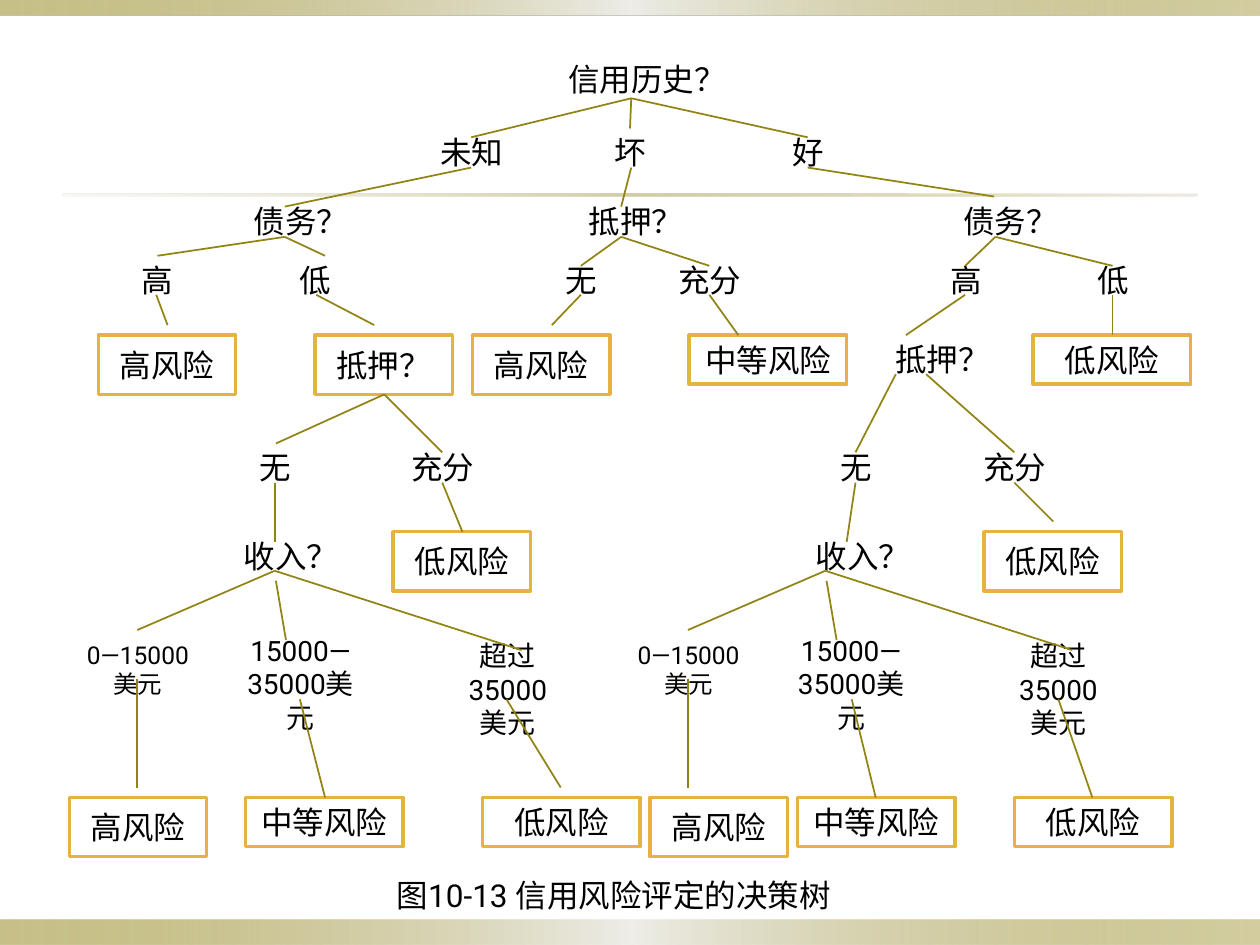
"""Build the credit risk decision tree slide."""
from dataclasses import dataclass

from lxml import etree
from pptx import Presentation
from pptx.dml.color import RGBColor
from pptx.enum.shapes import MSO_CONNECTOR, MSO_SHAPE
from pptx.enum.text import MSO_ANCHOR, MSO_AUTO_SIZE, PP_ALIGN
from pptx.oxml import parse_xml
from pptx.oxml.ns import qn
from pptx.util import Inches, Pt

RECT, STRAIGHT = MSO_SHAPE.RECTANGLE, MSO_CONNECTOR.STRAIGHT
MIDDLE, CENTER, NO_FIT = MSO_ANCHOR.MIDDLE, PP_ALIGN.CENTER, MSO_AUTO_SIZE.NONE
A_NS = "http://schemas.openxmlformats.org/drawingml/2006/main"


@dataclass
class Theme:
    font: str = "Roboto"
    ink: str = "000000"
    white: str = "FFFFFF"
    olive: str = "918415"
    pale: str = "EEEDE8"
    sand: str = "DCD9CC"
    gold: str = "E5B440"
    body: int = 18
    medium: int = 16
    small: int = 14
    branch: int = 1
    border: int = 2


theme = Theme()
rgb = RGBColor.from_string
prs = Presentation()
prs.slide_width, prs.slide_height = Inches(10), Inches(7.5)
s = prs.slides.add_slide(prs.slide_layouts[5])


def put_text(sp, text, size=theme.body, color=theme.ink):
    tf = sp.text_frame
    tf.word_wrap, tf.auto_size = True, NO_FIT
    tf.vertical_anchor = MIDDLE
    p = tf.paragraphs[0]
    p.alignment = CENTER
    r = p.add_run()
    r.text = text
    r.font.size, r.font.name, r.font.bold = Pt(size), theme.font, False
    r.font.color.rgb = rgb(color)


def add_rect(x, y, w, h):
    sp = s.shapes.add_shape(RECT, Inches(x), Inches(y), Inches(w), Inches(h))
    sp.shadow.inherit = False
    return sp


edge = [(0, theme.olive, 50), (50, theme.pale, 100), (100, theme.olive, 40)]
rule = [(0, theme.sand, 20), (50, theme.olive, 40), (100, theme.sand, 50)]
for box, stops in [
    ((0, 7.3, 10, 0.2), edge),
    ((0, 0, 10, 0.12), edge),
    ((0.5, 1.54, 9, 0.02), rule),
]:
    sp = add_rect(*box)
    sp.line.fill.background()
    stop_xml = "".join(
        f'<a:gs pos="{pos * 1000}"><a:srgbClr val="{color}">'
        f'<a:alpha val="{alpha * 1000}"/></a:srgbClr></a:gs>'
        for pos, color, alpha in stops
    )
    grad = parse_xml(
        f'<a:gradFill xmlns:a="{A_NS}" rotWithShape="1"><a:gsLst>{stop_xml}'
        '</a:gsLst><a:lin ang="0" scaled="0"/></a:gradFill>'
    )
    sp._element.spPr.find(qn("a:prstGeom")).addnext(grad)

caption = s.shapes.title
caption.left, caption.top = Inches(2.19), Inches(6.95)
caption.width, caption.height = Inches(5.36), Inches(0.31)
put_text(caption, "图10-13 信用风险评定的决策树")

rows = {
    1.09: [("未知", 3.28), ("坏", 4.54), ("好", 5.95)],
    1.64: [("债务？", 1.8), ("抵押？", 4.46), ("债务？", 7.43)],
    2.11: [("高", 0.78), ("低", 2.04), ("无", 4.15),
           ("充分", 5.17), ("高", 7.2), ("低", 8.37)],
    2.73: [("抵押？", 6.89)],
    3.59: [("无", 1.72), ("充分", 3.05), ("无", 6.33), ("充分", 7.59)],
    4.3: [("收入？", 1.72), ("收入？", 6.26)],
}
labels = [("信用历史？", 4.31, 0.48, 1.4, 0.3, theme.body)]
labels += [(text, x, y, 0.93, 0.23, theme.body)
           for y, row in rows.items() for text, x in row]

fans = [
    ((5.01, 0.78), [(3.74, 1.09), (5, 1.02), (6.41, 1.09)]),
    ((3.74, 1.33), [(2.26, 1.64)]),
    ((5.01, 1.33), [(4.93, 1.64)]),
    ((6.41, 1.33), [(7.89, 1.56)]),
    ((2.26, 1.88), [(1.25, 2.03), (2.58, 2.03)]),
    ((4.93, 1.88), [(4.61, 2.11), (5.63, 2.11)]),
    ((7.9, 1.88), [(7.66, 2.11), (8.83, 2.11)]),
    ((1.24, 2.34), [(1.33, 2.58)]),
    ((2.51, 2.34), [(2.97, 2.58)]),
    ((4.61, 2.34), [(4.38, 2.58)]),
    ((5.63, 2.34), [(5.86, 2.66)]),
    ((7.66, 2.34), [(7.19, 2.66)]),
    ((8.83, 2.34), [(8.83, 2.66)]),
    ((3.05, 3.13), [(2.19, 3.52), (3.51, 3.59)]),
    ((7.11, 2.97), [(6.79, 3.59)]),
    ((7.35, 2.97), [(8.05, 3.59)]),
    ((2.18, 3.83), [(2.18, 4.3)]),
    ((3.51, 3.83), [(3.67, 4.22)]),
    ((6.79, 3.83), [(6.72, 4.3)]),
    ((8.05, 3.83), [(8.36, 4.14)]),
    ((2.38, 5.55), [(2.58, 6.33)]),
    ((4.02, 5.55), [(4.45, 6.25)]),
    ((6.76, 5.55), [(6.95, 6.33)]),
    ((8.4, 5.55), [(8.67, 6.33)]),
]

for dx in (0, 4.37):
    labels += [
        ("0—15000美元", 0.55 + dx, 5.23, 1.09, 0.16, theme.small),
        ("15000—35000美元", 1.8 + dx, 5.31, 1.17, 0.23, theme.medium),
        ("超过35000美元", 3.52 + dx, 5.39, 1.02, 0.16, theme.medium),
    ]
    fans += [
        ((2.18 + dx, 4.53), [(1.09 + dx, 5), (4.14 + dx, 5.16)]),
        ((2.19 + dx, 4.61), [(2.27 + dx, 5.08)]),
        ((1.09 + dx, 5.39), [(1.09 + dx, 6.25)]),
    ]

for text, x, y, w, h, size in labels:
    sp = s.shapes.add_textbox(Inches(x), Inches(y), Inches(w), Inches(h))
    put_text(sp, text, size=size)

tall, wide = (1.09, 0.47), (1.25, 0.39)
for text, x, y, size in [
    ("高风险", 0.78, 2.66, tall),
    ("抵押？", 2.5, 2.66, tall),
    ("高风险", 3.75, 2.66, tall),
    ("中等风险", 5.47, 2.66, wide),
    ("低风险", 8.2, 2.66, wide),
    ("低风险", 3.12, 4.22, tall),
    ("低风险", 7.81, 4.22, tall),
    ("高风险", 0.55, 6.33, tall),
    ("中等风险", 1.95, 6.33, wide),
    ("低风险", 3.83, 6.33, wide),
    ("高风险", 5.16, 6.33, tall),
    ("中等风险", 6.33, 6.33, wide),
    ("低风险", 8.05, 6.33, wide),
]:
    sp = add_rect(x, y, *size)
    sp.fill.solid()
    sp.fill.fore_color.rgb = rgb(theme.white)
    sp.line.color.rgb = rgb(theme.gold)
    sp.line.width = Pt(theme.border)
    put_text(sp, text)

for (x1, y1), ends in fans:
    for x2, y2 in ends:
        sp = s.shapes.add_connector(
            STRAIGHT, Inches(x1), Inches(y1), Inches(x2), Inches(y2))
        sp.line.color.rgb = rgb(theme.olive)
        sp.line.width = Pt(theme.branch)
        etree.SubElement(sp._element.spPr, qn("a:effectLst"))

prs.save("out.pptx")
